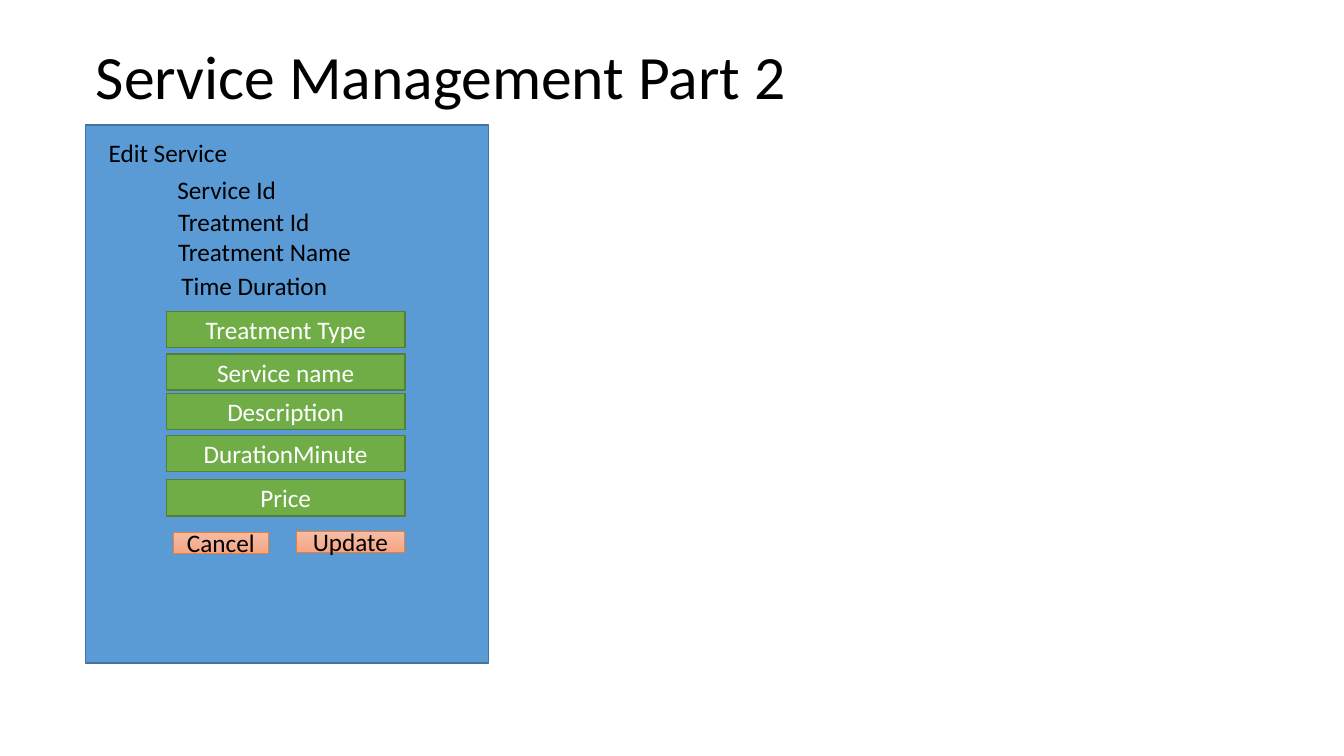
"""Build the service management slide with its edit form."""
from copy import deepcopy
from dataclasses import dataclass

from pptx import Presentation
from pptx import util as u
from pptx.dml import color
from pptx.enum import shapes, text

FONT = "Calibri"
BLACK, WHITE = "000000", "FFFFFF"
BLUE, DARK_BLUE = "5B9BD5", "43739E"
GREEN, DARK_GREEN = "70AD47", "538035"
ORANGE = "ED7D31"
BUTTON_STOPS = ((0, "F7BDA5"), (0.5, "F5B196"), (1, "F8A582"))


@dataclass
class Item:
    words: str
    left: float
    top: float
    width: float
    height: float


LABELS = [
    Item("Edit Service", 2.49, 3.33, 3.53, 1.02),
    Item("Service Id", 4.22, 4.27, 3.02, 1.02),
    Item("Treatment Id", 4.24, 5.08, 3.86, 1.02),
    Item("Treatment Name", 4.24, 5.82, 4.9, 1.02),
    Item("Time Duration", 4.32, 6.68, 4.24, 1.02),
]
FIELD_TOPS = {
    "Treatment Type": 7.85,
    "Service name": 8.92,
    "Description": 9.91,
    "DurationMinute": 10.97,
    "Price": 12.09,
}
BUTTONS = [
    Item("Cancel", 4.37, 13.41, 2.39, 0.53),
    Item("Update", 7.47, 13.39, 2.72, 0.53),
]


def rgb(code: str) -> color.RGBColor:
    return color.RGBColor.from_string(code)


def bounds(item: Item) -> list:
    return [u.Cm(size) for size in (item.left, item.top, item.width, item.height)]


def write(frame, words: str, *, size: float = 18, ink: str = BLACK,
          align=text.PP_ALIGN.LEFT, anchor=text.MSO_ANCHOR.TOP, wrap: bool = True,
          fit=text.MSO_AUTO_SIZE.NONE, spacing: float = 1.0) -> None:
    frame.word_wrap = wrap
    frame.auto_size = fit
    frame.vertical_anchor = anchor
    para = frame.paragraphs[0]
    para.alignment = align
    para.line_spacing = spacing
    span = para.add_run()
    span.text = words
    span.font.name = FONT
    span.font.size = u.Pt(size)
    span.font.color.rgb = rgb(ink)


def fill_gradient(shape, stops: tuple) -> None:
    shape.fill.gradient()
    shape.fill.gradient_angle = 270
    stop_list = shape.fill._xPr.find(".//{*}gsLst")
    while len(stop_list) < len(stops):
        stop_list.append(deepcopy(stop_list[0]))
    for stop, (position, code) in zip(shape.fill.gradient_stops, stops):
        stop.position = position
        stop.color.rgb = rgb(code)


def draw_box(page, item: Item, line: str, weight: float, fill: str | None = None,
             ink: str = WHITE) -> None:
    box = page.shapes.add_shape(shapes.MSO_SHAPE.RECTANGLE, *bounds(item))
    box.shadow.inherit = False
    if fill:
        box.fill.solid()
        box.fill.fore_color.rgb = rgb(fill)
    else:
        fill_gradient(box, BUTTON_STOPS)
    box.line.color.rgb = rgb(line)
    box.line.width = u.Pt(weight)
    if item.words:
        write(box.text_frame, item.words, ink=ink, align=text.PP_ALIGN.CENTER,
              anchor=text.MSO_ANCHOR.MIDDLE)


def draw_label(page, item: Item) -> None:
    box = page.shapes.add_textbox(*bounds(item))
    write(box.text_frame, item.words, wrap=False,
          fit=text.MSO_AUTO_SIZE.SHAPE_TO_FIT_TEXT)


def main() -> None:
    deck = Presentation()
    deck.slide_width, deck.slide_height = u.Cm(33.87), u.Cm(19.05)
    page = deck.slides.add_slide(deck.slide_layouts.get_by_name("Title Only"))
    title = page.shapes.title
    title.left, title.top, title.width, title.height = bounds(
        Item("", 2.16, 0.86, 29.21, 2.29))
    write(title.text_frame, "Service Management Part 2", size=44,
          anchor=text.MSO_ANCHOR.MIDDLE, spacing=0.9)

    draw_box(page, Item("", 2.16, 3.15, 10.16, 13.56), DARK_BLUE, 1, BLUE)
    for label in LABELS:
        draw_label(page, label)
    for words, top in FIELD_TOPS.items():
        draw_box(page, Item(words, 4.19, top, 6.02, 0.91), DARK_GREEN, 1, GREEN)
    for button in BUTTONS:
        draw_box(page, button, ORANGE, 0.5, ink=BLACK)
    deck.save("out.pptx")


main()
